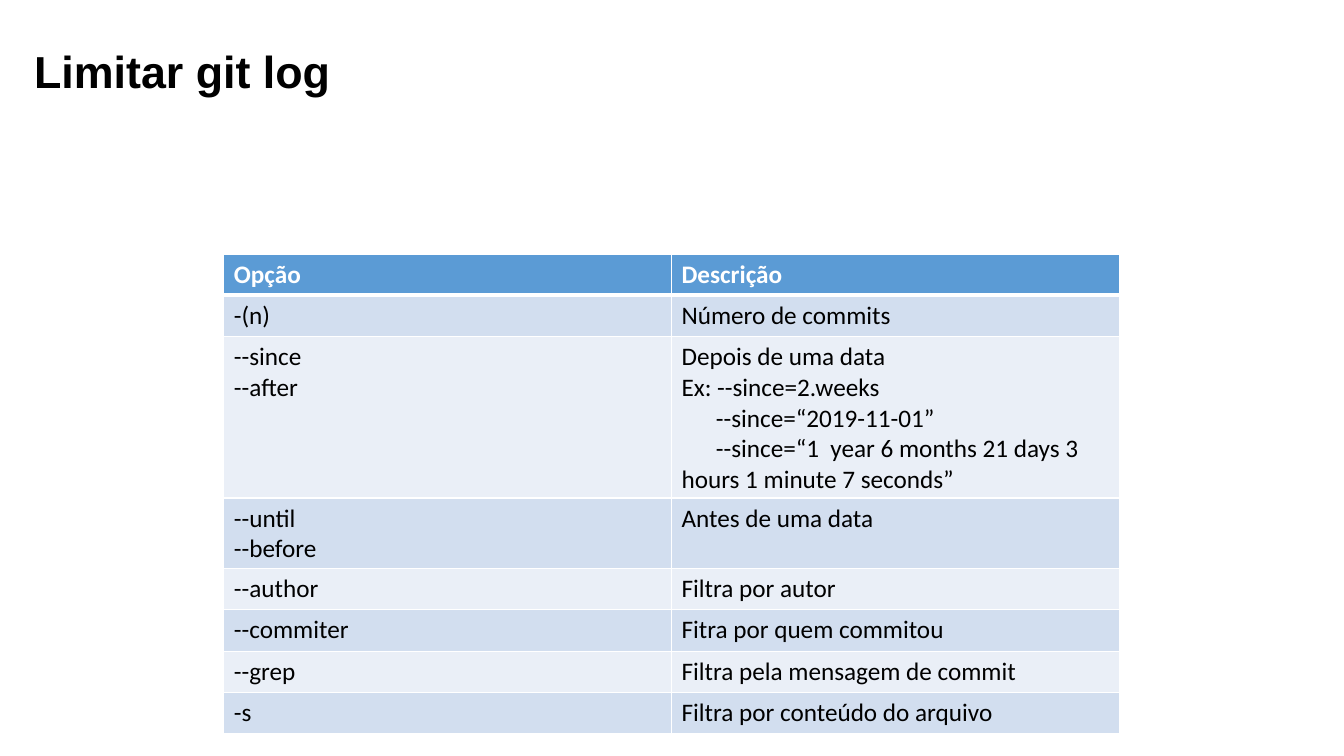
from dataclasses import dataclass

from lxml.etree import SubElement
from pptx import Presentation
from pptx.dml.color import RGBColor
from pptx.enum.text import MSO_ANCHOR
from pptx.oxml.ns import qn
from pptx.slide import Slide
from pptx.table import _Cell
from pptx.text.text import TextFrame
from pptx.util import Inches, Pt

WHITE, BLACK = "FFFFFF", "000000"
HEADER_BLUE = "5B9BD5"
BAND_FILLS = ("D2DEEF", "EAEFF7")
ROW_HEIGHT, COLUMN_WIDTH = 0.41, 4.44
EXAMPLE_INDENT = 0.34


@dataclass(frozen=True)
class LogOption:
    flags: str
    description: str
    examples: tuple[str, ...] = ()


HEADER = LogOption("Opção", "Descrição")
OPTIONS = (
    LogOption("-(n)", "Número de commits"),
    LogOption(
        "--since\n--after",
        "Depois de uma data\nEx: --since=2.weeks",
        (
            "--since=“2019-11-01”",
            "--since=“1  year 6 months 21 days 3 hours 1 minute 7 seconds”",
        ),
    ),
    LogOption("--until\n--before", "Antes de uma data"),
    LogOption("--author", "Filtra por autor"),
    LogOption("--commiter", "Fitra por quem commitou"),
    LogOption("--grep", "Filtra pela mensagem de commit"),
    LogOption("-s", "Filtra por conteúdo do arquivo"),
)


def rgb(value: str) -> RGBColor:
    return RGBColor.from_string(value)


def style_text(frame: TextFrame, font: str, size: int, color: str, bold: bool) -> None:
    for paragraph in frame.paragraphs:
        for run in paragraph.runs:
            run.font.name = font
            run.font.size = Pt(size)
            run.font.bold = bold
            run.font.color.rgb = rgb(color)


def set_borders(cell: _Cell, bottom_width: int) -> None:
    """Put white lines ahead of the fill, in the order the schema asks for."""
    properties = cell._tc.get_or_add_tcPr()
    widths = {"a:lnL": 1, "a:lnR": 1, "a:lnT": 1, "a:lnB": bottom_width}
    for position, (side, width) in enumerate(widths.items()):
        border = SubElement(properties, qn(side), w=str(Pt(width)))
        fill = SubElement(border, qn("a:solidFill"))
        SubElement(fill, qn("a:srgbClr"), val=WHITE)
        properties.insert(position, border)


def fill_cell(cell: _Cell, text: str, fill: str, is_header: bool) -> None:
    cell.text_frame.text = text
    style_text(cell.text_frame, "Calibri", 18, WHITE if is_header else BLACK, is_header)
    cell.fill.solid()
    cell.fill.fore_color.rgb = rgb(fill)
    set_borders(cell, 3 if is_header else 1)


def indent_examples(cell: _Cell, count: int) -> None:
    """Indent only the first line of each of the last paragraphs."""
    for paragraph in cell.text_frame.paragraphs[-count:]:
        properties = paragraph._p.get_or_add_pPr()
        properties.set("marL", "0")
        properties.set("indent", str(Inches(EXAMPLE_INDENT)))


def add_title(slide: Slide, text: str) -> None:
    title = slide.shapes.add_textbox(
        Inches(0.24), Inches(-0.02), Inches(11.5), Inches(1.45)
    )
    frame = title.text_frame
    frame.word_wrap = True
    frame.vertical_anchor = MSO_ANCHOR.MIDDLE
    frame.text = text
    style_text(frame, "Arial", 32, BLACK, True)


def add_options_table(slide: Slide) -> None:
    rows = (HEADER, *OPTIONS)
    table = slide.shapes.add_table(
        len(rows), 2, Inches(2.22), Inches(2.52),
        Inches(2 * COLUMN_WIDTH), Inches(ROW_HEIGHT * len(rows)),
    ).table
    for column in table.columns:
        column.width = Inches(COLUMN_WIDTH)
    for index, option in enumerate(rows):
        table.rows[index].height = Inches(ROW_HEIGHT)
        is_header = index == 0
        fill = HEADER_BLUE if is_header else BAND_FILLS[(index - 1) % 2]
        description = "\n".join((option.description, *option.examples))
        fill_cell(table.cell(index, 0), option.flags, fill, is_header)
        fill_cell(table.cell(index, 1), description, fill, is_header)
        if option.examples:
            indent_examples(table.cell(index, 1), len(option.examples))


def main() -> None:
    presentation = Presentation()
    presentation.slide_width = Inches(13.33)
    presentation.slide_height = Inches(7.5)
    slide = presentation.slides.add_slide(presentation.slide_layouts[6])
    add_title(slide, "Limitar git log")
    add_options_table(slide)
    presentation.save("out.pptx")


if __name__ == "__main__":
    main()
